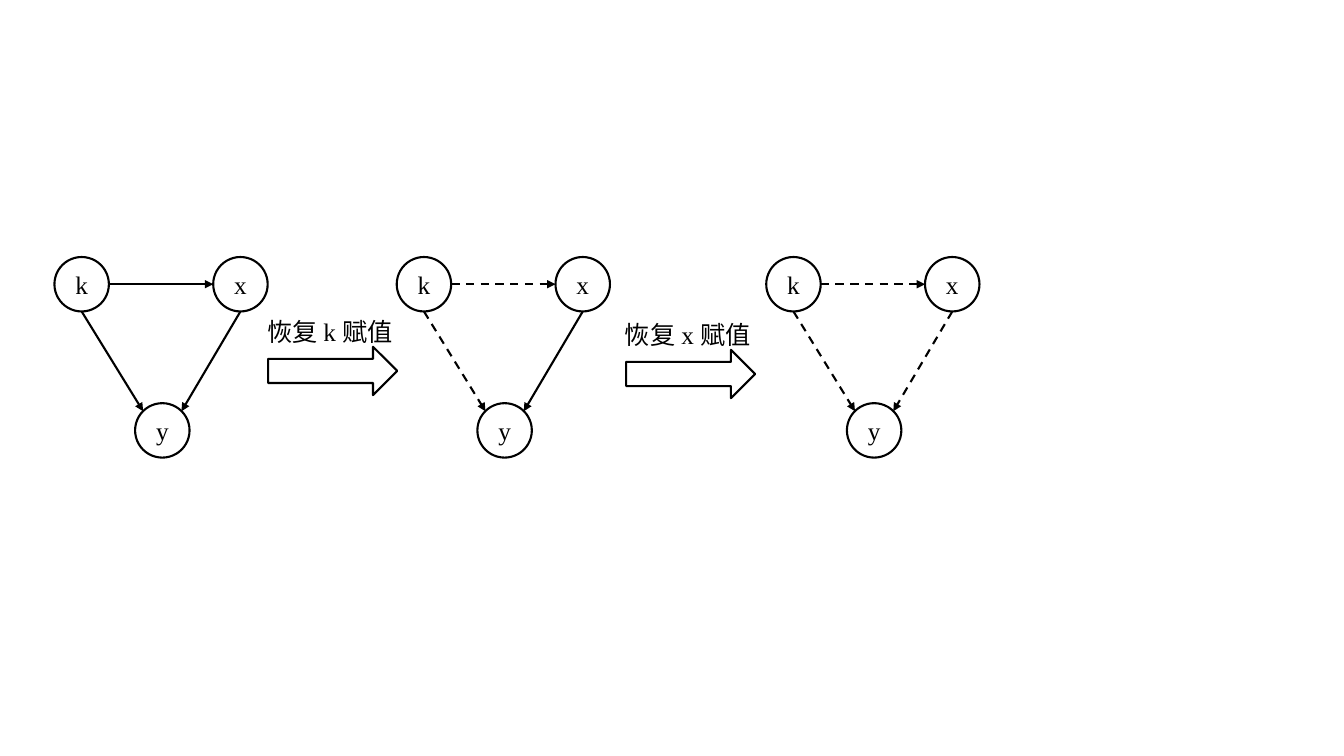
import pptx
import pptx.util
import pptx.dml.color
import pptx.enum.dml
import pptx.enum.shapes
import pptx.enum.text
import pptx.oxml.ns
import lxml.etree

Inches = pptx.util.Inches
Pt = pptx.util.Pt

BLACK, WHITE = "000000", "FFFFFF"
LATIN, CHINESE = "Times New Roman", "Lato"
DIAMETER = 0.54
NODES = {"y": (0.8, 1.45), "x": (1.575, 0), "k": (0, 0)}
EDGES = {
    "ky": ((0.27, 0.54), (0.88, 1.53)),
    "xy": ((1.845, 0.54), (1.26, 1.53)),
    "kx": ((0.54, 0.27), (1.575, 0.27)),
}
GRAPH_TOP = 2.55
GRAPHS = [(0.54, ()), (3.935, ("ky", "kx")), (7.6, ("ky", "xy", "kx"))]
STEPS = [(2.66, 3.44, "k"), (6.21, 3.47, "x")]


def color(value):
    return pptx.dml.color.RGBColor.from_string(value)


def style_line(line):
    line.color.rgb = color(BLACK)
    line.width = Pt(1.5)


def style_run(run, font_name):
    run.font.name = font_name
    run.font.size = Pt(18)
    run.font.color.rgb = color(BLACK)


def add_outline(slide, kind, left, top, width, height):
    shape = slide.shapes.add_shape(
        kind, Inches(left), Inches(top), Inches(width), Inches(height))
    shape.shadow.inherit = False
    shape.fill.solid()
    shape.fill.fore_color.rgb = color(WHITE)
    style_line(shape.line)
    return shape


def add_node(slide, name, left, top):
    node = add_outline(slide, pptx.enum.shapes.MSO_SHAPE.OVAL,
                       left, top, DIAMETER, DIAMETER)
    text_frame = node.text_frame
    text_frame.text = name
    text_frame.vertical_anchor = pptx.enum.text.MSO_ANCHOR.MIDDLE
    paragraph = text_frame.paragraphs[0]
    paragraph.alignment = pptx.enum.text.PP_ALIGN.CENTER
    style_run(paragraph.runs[0], LATIN)


def add_edge(slide, start, end, dashed):
    edge = slide.shapes.add_connector(
        pptx.enum.shapes.MSO_CONNECTOR.STRAIGHT,
        *(Inches(value) for value in start + end))
    style_line(edge.line)
    if dashed:
        edge.line.dash_style = pptx.enum.dml.MSO_LINE.DASH
    qn = pptx.oxml.ns.qn
    properties = edge.element.spPr
    lxml.etree.SubElement(properties.find(qn("a:ln")), qn("a:tailEnd"), type="triangle")
    lxml.etree.SubElement(properties, qn("a:effectLst"))


def add_graph(slide, left, dashed_edges):
    for name, (x, y) in NODES.items():
        add_node(slide, name, left + x, GRAPH_TOP + y)
    for name, ends in EDGES.items():
        start, end = ((left + x, GRAPH_TOP + y) for x, y in ends)
        add_edge(slide, start, end, name in dashed_edges)


def add_step(slide, left, top, variable):
    add_outline(slide, pptx.enum.shapes.MSO_SHAPE.RIGHT_ARROW, left, top, 1.28, 0.48)
    label = slide.shapes.add_textbox(
        Inches(left - 0.11), Inches(top - 0.35), Inches(1.49), Inches(0.4))
    label.text_frame.word_wrap = True
    label.text_frame.auto_size = pptx.enum.text.MSO_AUTO_SIZE.SHAPE_TO_FIT_TEXT
    paragraph = label.text_frame.paragraphs[0]
    for text, font_name in (("恢复", CHINESE), (variable, LATIN), ("赋值", CHINESE)):
        run = paragraph.add_run()
        run.text = text
        style_run(run, font_name)


def main():
    presentation = pptx.Presentation()
    presentation.slide_width = Inches(13.33)
    presentation.slide_height = Inches(7.5)
    slide = presentation.slides.add_slide(presentation.slide_layouts[6])
    for left, dashed_edges in GRAPHS:
        add_graph(slide, left, dashed_edges)
    for left, top, variable in STEPS:
        add_step(slide, left, top, variable)
    presentation.save("out.pptx")


if __name__ == "__main__":
    main()
